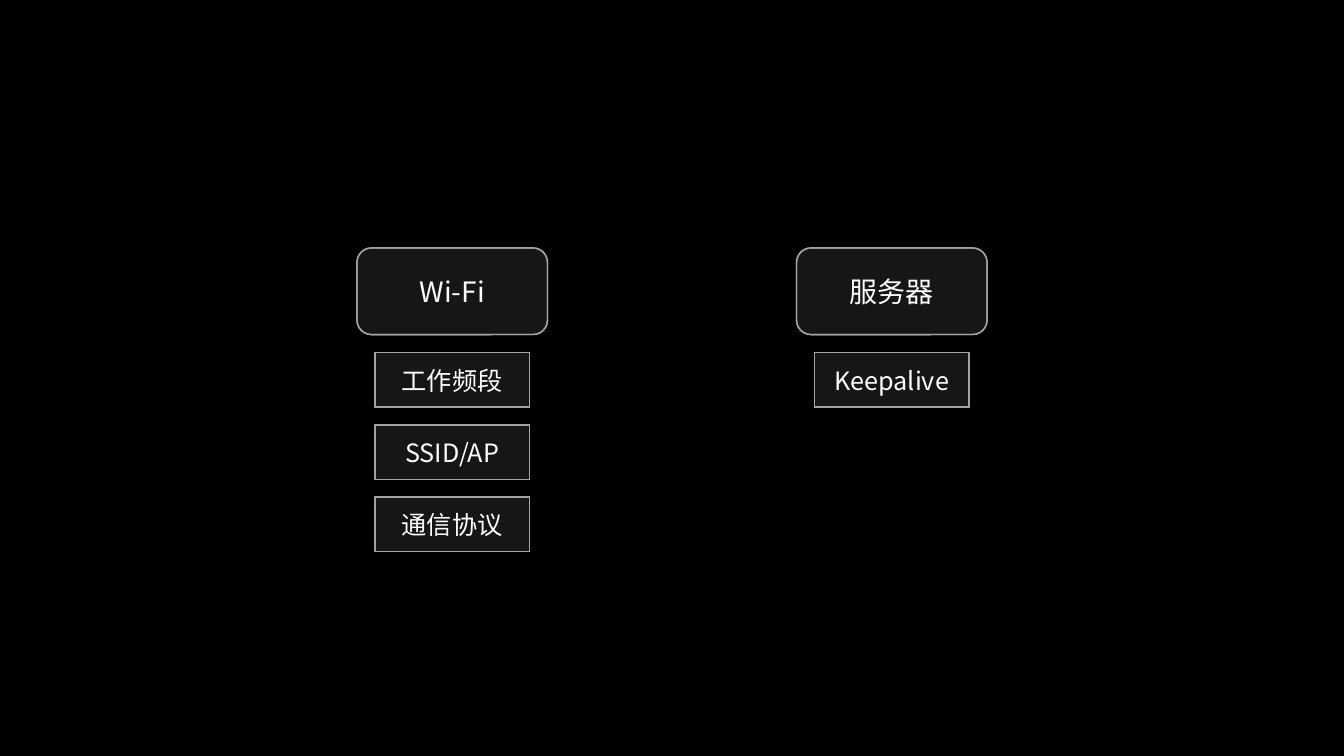
import pptx
import pptx.util
import pptx.dml.color
import pptx.enum.shapes
import pptx.enum.text
import pptx.oxml.ns
import lxml.etree

Inches = pptx.util.Inches
SHAPES = pptx.enum.shapes.MSO_SHAPE
FONT = "Noto Sans CJK SC"
BLACK, VEIL, EDGE, WHITE = "000000", "DDDDDD", "A3A3A3", "FFFFFF"
VEIL_OPACITY = 10

COLUMN_TOP, COLUMN_WIDTH = 2.46, 1.89
HEADING_HEIGHT = 0.86
ITEM_WIDTH, ITEM_HEIGHT = 1.53, 0.54
FIRST_ITEM_OFFSET, ITEM_PITCH = 1.04, 0.715

# Column left edge, heading, items below it
COLUMNS = [
    (3.54, "Wi-Fi", ["工作频段", "SSID/AP", "通信协议"]),
    (7.9, "服务器", ["Keepalive"]),
]


def rgb(hex_color):
    return pptx.dml.color.RGBColor.from_string(hex_color)


def add_child(parent, tag, **attributes):
    lxml.etree.SubElement(parent, pptx.oxml.ns.qn(tag), attributes)


def paint(fill, hex_color):
    fill.solid()
    fill.fore_color.rgb = rgb(hex_color)


def add_layer(group, kind, box, color):
    layer = group.shapes.add_shape(kind, *map(Inches, box))
    layer.shadow.inherit = False
    paint(layer.fill, color)
    layer.line.color.rgb = rgb(EDGE)
    layer.line.width = pptx.util.Pt(1)
    return layer


def add_label(shape, text, size):
    frame = shape.text_frame
    frame.word_wrap = True
    frame.vertical_anchor = pptx.enum.text.MSO_ANCHOR.MIDDLE
    paragraph = frame.paragraphs[0]
    paragraph.alignment = pptx.enum.text.PP_ALIGN.CENTER
    run = paragraph.add_run()
    run.text = text
    for attribute, value in {"size": pptx.util.Pt(size), "name": FONT}.items():
        setattr(run.font, attribute, value)
    run.font.color.rgb = rgb(WHITE)
    add_child(run.font._element, "a:ea", typeface=FONT)


def add_card(slide, kind, box, text, size):
    """Place a black base with a translucent labelled veil on top."""
    group = slide.shapes.add_group_shape()
    add_layer(group, kind, box, BLACK)
    veil = add_layer(group, kind, box, VEIL)
    veil_color = veil._element.spPr.find(
        pptx.oxml.ns.qn("a:solidFill") + "/" + pptx.oxml.ns.qn("a:srgbClr"))
    add_child(veil_color, "a:alpha", val=str(VEIL_OPACITY * 1000))
    add_label(veil, text, size)


def add_column(slide, left, top, heading, items):
    # Heading
    add_card(slide, SHAPES.ROUNDED_RECTANGLE,
             (left, top, COLUMN_WIDTH, HEADING_HEIGHT), heading, 20)
    # Items centred under the heading
    item_left = left + (COLUMN_WIDTH - ITEM_WIDTH) / 2
    for index, item in enumerate(items):
        item_top = top + FIRST_ITEM_OFFSET + index * ITEM_PITCH
        add_card(slide, SHAPES.RECTANGLE,
                 (item_left, item_top, ITEM_WIDTH, ITEM_HEIGHT), item, 18)


def main():
    deck = pptx.Presentation()
    deck.slide_width, deck.slide_height = Inches(13.33), Inches(7.5)
    slide = deck.slides.add_slide(deck.slide_layouts[6])
    paint(slide.background.fill, BLACK)
    for left, heading, items in COLUMNS:
        add_column(slide, left, COLUMN_TOP, heading, items)
    deck.save("out.pptx")


if __name__ == "__main__":
    main()
